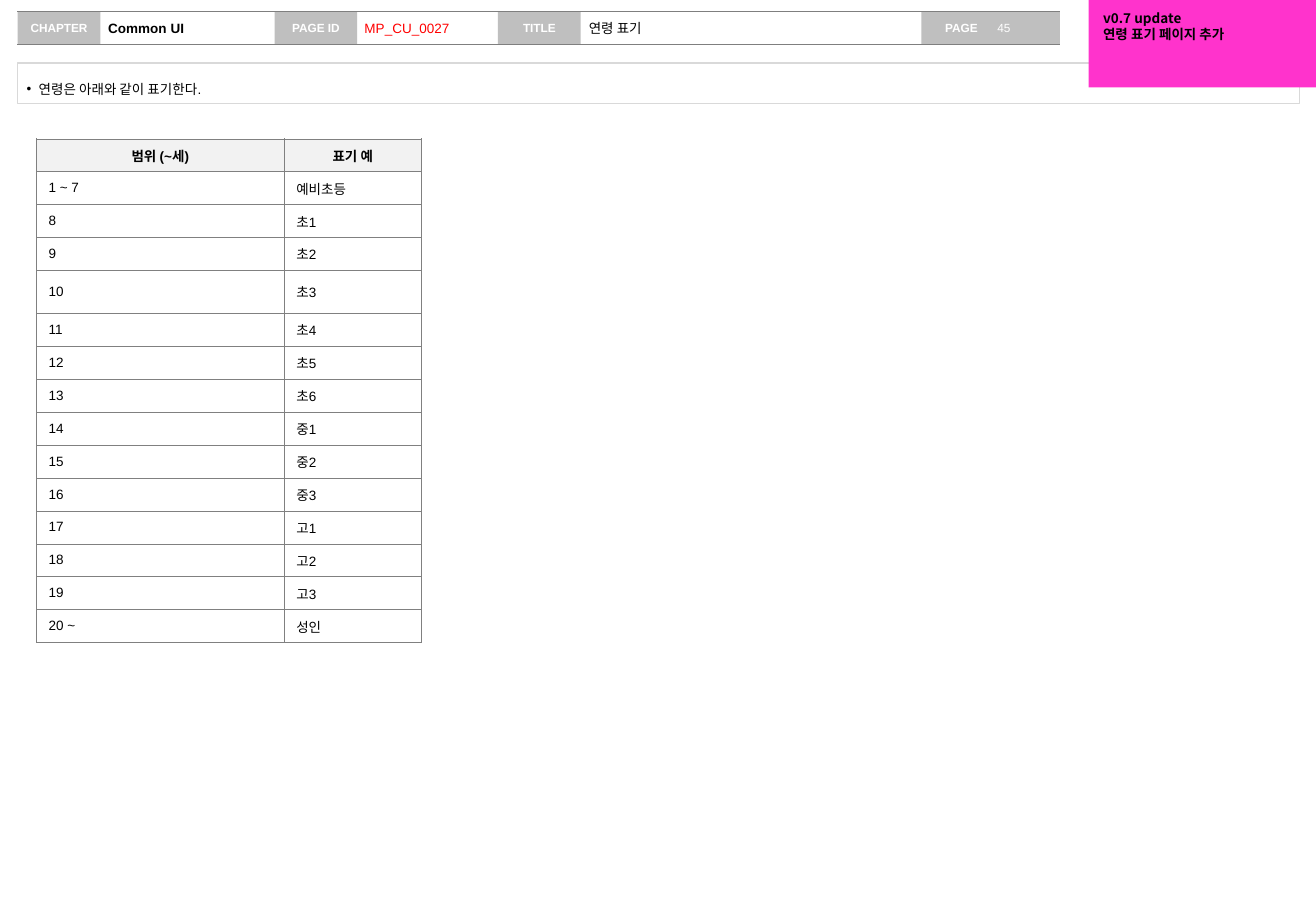
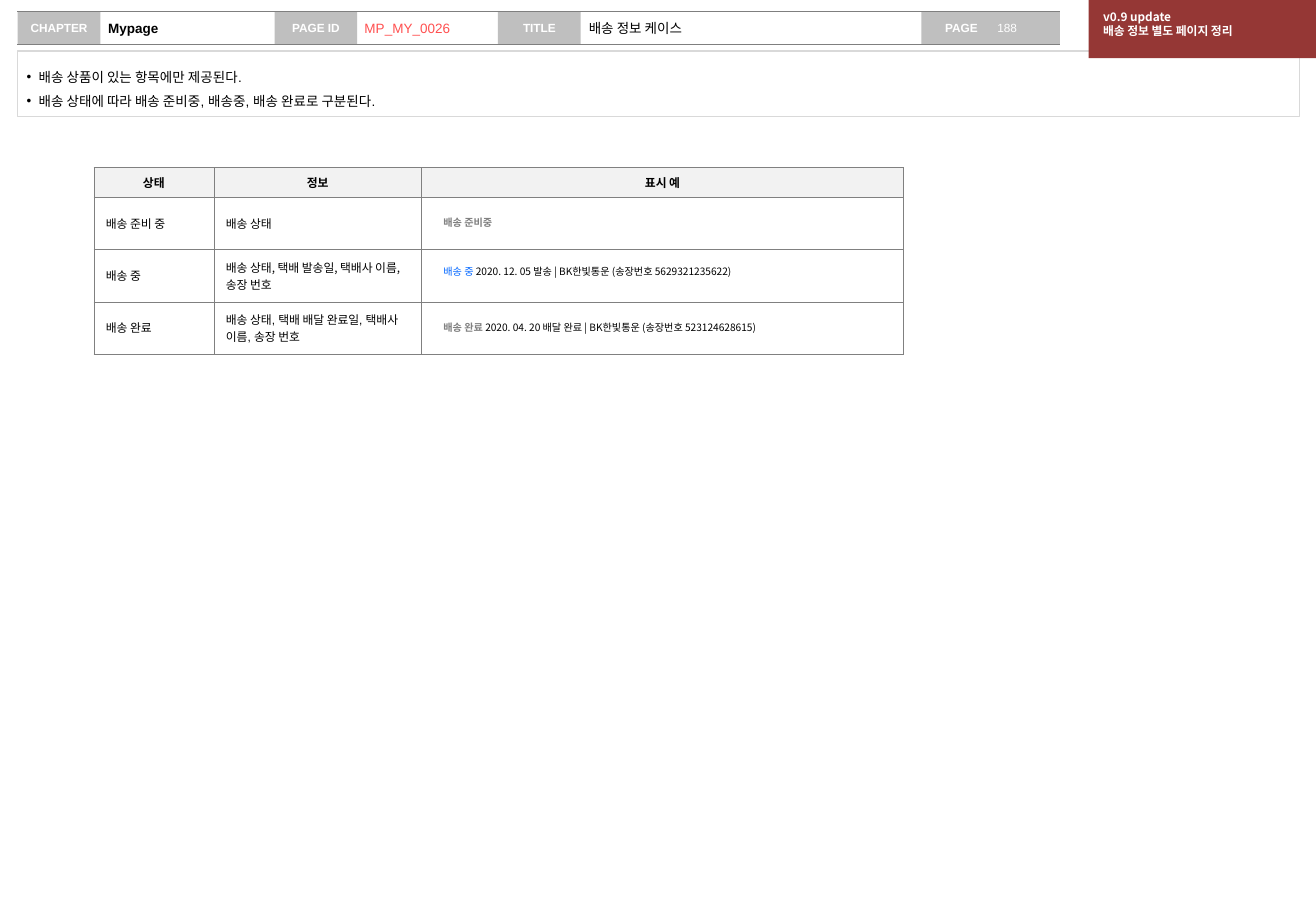
from lxml import etree
from pptx import Presentation
from pptx.dml.color import RGBColor
from pptx.enum.shapes import MSO_CONNECTOR, MSO_SHAPE
from pptx.enum.text import MSO_ANCHOR, PP_ALIGN
from pptx.oxml.ns import qn
from pptx.util import Cm, Pt

LEFT, CENTER = PP_ALIGN.LEFT, PP_ALIGN.CENTER
TOP, MIDDLE = MSO_ANCHOR.TOP, MSO_ANCHOR.MIDDLE
RECT, STRAIGHT = MSO_SHAPE.RECTANGLE, MSO_CONNECTOR.STRAIGHT

BLACK = RGBColor(0x00, 0x00, 0x00)
WHITE = RGBColor(0xFF, 0xFF, 0xFF)
TAG_GRAY = RGBColor(0xBF, 0xBF, 0xBF)
RULE_GRAY = RGBColor(0x7F, 0x7F, 0x7F)
BOX_GRAY = RGBColor(0xD9, 0xD9, 0xD9)
HEAD_GRAY = RGBColor(0xF2, 0xF2, 0xF2)
TEXT_GRAY = RGBColor(0x80, 0x80, 0x80)
RED = RGBColor(0xFF, 0x00, 0x00)
CORAL = RGBColor(0xFF, 0x50, 0x50)
PINK = RGBColor(0xFF, 0x33, 0xCC)
MAROON = RGBColor(0x95, 0x37, 0x35)
BLUE = RGBColor(0x00, 0x66, 0xFF)
BORDER = "808080"

ARIAL, NOTO = "Arial", "Noto Sans CJK KR"
BAND_TOP, BAND_H = 0.24, 0.69
FIELD_TOP, FIELD_H = 0.28, 0.61
TAGS = (("CHAPTER", 0.37), ("PAGE ID", 5.74), ("TITLE", 10.41))


def write(tf, *lines, size=8, font=ARIAL, color=BLACK, bold=False,
          align=LEFT, spacing=None, bullet=False):
    """Each line is a string or a list of (text, format overrides)."""
    for i, line in enumerate(lines):
        p = tf.paragraphs[0] if i == 0 else tf.add_paragraph()
        p.alignment = align
        p.line_spacing = spacing
        if bullet:
            add_bullet(p)
        for text, own in [(line, {})] if isinstance(line, str) else line:
            r = p.add_run()
            r.text = text
            r.font.size = Pt(own.get("size", size))
            r.font.bold = own.get("bold", bold)
            r.font.color.rgb = own.get("color", color)
            r.font.name = own.get("font", font)
            etree.SubElement(r._r.get_or_add_rPr(), qn("a:ea"), typeface=NOTO)


def add_bullet(p):
    pPr = p._p.get_or_add_pPr()
    pPr.set("marL", str(Cm(0.25)))
    pPr.set("indent", str(-Cm(0.25)))
    etree.SubElement(pPr, qn("a:buFont"), typeface=ARIAL)
    etree.SubElement(pPr, qn("a:buChar"), char="•")


def set_frame(tf, insets, anchor=TOP, wrap=True):
    """Insets are left, top, right, bottom in cm."""
    tf.margin_left, tf.margin_top, tf.margin_right, tf.margin_bottom = map(Cm, insets)
    tf.vertical_anchor = anchor
    tf.word_wrap = wrap
    return tf


def add_box(slide, x, y, w, h, fill=None, line=None):
    sp = slide.shapes.add_shape(RECT, Cm(x), Cm(y), Cm(w), Cm(h))
    sp.shadow.inherit = False
    if fill is None:
        sp.fill.background()
    else:
        sp.fill.solid()
        sp.fill.fore_color.rgb = fill
    if line is None:
        sp.line.fill.background()
    else:
        sp.line.color.rgb = line
        sp.line.width = Pt(0.75)
    return sp


def add_text(slide, x, y, w, h, *lines, insets=(0, 0, 0, 0), anchor=TOP, **fmt):
    sp = slide.shapes.add_textbox(Cm(x), Cm(y), Cm(w), Cm(h))
    write(set_frame(sp.text_frame, insets, anchor), *lines, **fmt)


def add_tag(slide, text, x, w=1.73, left=0.25, align=CENTER):
    sp = add_box(slide, x, BAND_TOP, w, BAND_H, fill=TAG_GRAY)
    tf = set_frame(sp.text_frame, (left, 0.13, 0.25, 0.13), MIDDLE, wrap=False)
    write(tf, text, size=7, color=WHITE, bold=True, align=align)


def add_rule(slide, y):
    ln = slide.shapes.add_connector(STRAIGHT, Cm(0.36), Cm(y), Cm(22.15), Cm(y))
    ln.line.color.rgb = RULE_GRAY
    ln.line.width = Pt(0.75)
    etree.SubElement(ln._element.spPr, qn("a:effectLst"))


def add_page(prs, chapter, page_id, title, number, id_color):
    """Add a slide with the header band that all pages share."""
    slide = prs.slides.add_slide(prs.slide_layouts[5])
    insets = (0.15, 0.13, 0, 0.13)
    add_tag(slide, "PAGE", 19.26, w=2.9, left=0.5, align=LEFT)
    add_text(slide, 20.75, FIELD_TOP, 1.4, FIELD_H, number,
             insets=(0.1, 0.13, 0, 0.13), anchor=MIDDLE, size=7, color=WHITE)
    for text, x in TAGS:
        add_tag(slide, text, x)
    for y in (BAND_TOP, BAND_TOP + BAND_H):
        add_rule(slide, y)

    ph = slide.shapes.title
    ph.left, ph.top, ph.width, ph.height = map(Cm, (2.11, FIELD_TOP, 3.63, FIELD_H))
    write(set_frame(ph.text_frame, insets, MIDDLE), chapter, bold=True)
    for text, x, w, color in ((title, 12.16, 7.1, BLACK),
                              (page_id, 7.47, 2.95, id_color)):
        add_text(slide, x, FIELD_TOP, w, FIELD_H, text,
                 insets=insets, anchor=MIDDLE, color=color)
    return slide


def add_description(slide, y, h, *lines):
    sp = add_box(slide, 0.36, y, 26.8, h, line=BOX_GRAY)
    write(set_frame(sp.text_frame, (0.2, 0.2, 0.2, 0.2)), *lines,
          spacing=1.5, bullet=True)


def add_update_note(slide, h, fill, *lines, **fmt):
    sp = add_box(slide, 22.76, 0, 4.77, h, fill=fill)
    write(set_frame(sp.text_frame, (0.3, 0.2, 0.25, 0.13)), *lines,
          font=NOTO, bold=True, **fmt)


def set_borders(cell):
    tcPr = cell._tc.get_or_add_tcPr()
    for i, side in enumerate(("lnL", "lnR", "lnT", "lnB")):
        ln = etree.Element(qn("a:" + side), w=str(Pt(0.25)))
        fill = etree.SubElement(ln, qn("a:solidFill"))
        etree.SubElement(fill, qn("a:srgbClr"), val=BORDER)
        tcPr.insert(i, ln)


def add_grid(slide, x, y, widths, heights, rows, size):
    """Add a bordered table whose first row is the heading."""
    frame = slide.shapes.add_table(len(rows), len(widths), Cm(x), Cm(y),
                                   Cm(sum(widths)), Cm(sum(heights)))
    table = frame.table
    table.first_row = table.horz_banding = False
    for column, w in zip(table.columns, widths):
        column.width = Cm(w)
    for i, (row, h) in enumerate(zip(rows, heights)):
        table.rows[i].height = Cm(h)
        head = i == 0
        for j, content in enumerate(row):
            cell = table.cell(i, j)
            cell.vertical_anchor = MIDDLE
            cell.fill.solid()
            cell.fill.fore_color.rgb = HEAD_GRAY if head else WHITE
            set_borders(cell)
            if content:
                write(cell.text_frame, content, size=size, bold=head,
                      align=CENTER if head else LEFT)
            else:
                p = cell.text_frame.paragraphs[0]
                p._p.get_or_add_endParaRPr().set("sz", str(size * 100))


def age_page(prs):
    slide = add_page(prs, "Common UI", "MP_CU_0027", "연령 표기", "45", RED)
    grades = [f"{school}{year}" for school, years in (("초", 6), ("중", 3), ("고", 3))
              for year in range(1, years + 1)]
    rows = [("범위 (~세)", "표기 예"), ("1 ~ 7", "예비초등")]
    rows += [(str(age), grade) for age, grade in enumerate(grades, 8)]
    rows.append(("20 ~", "성인"))
    heights = [0.89 if row[0] == "10" else 0.69 for row in rows]
    add_grid(slide, 0.76, 2.9, (5.18, 2.87), heights, rows, size=8)
    add_description(slide, 1.32, 0.84, "연령은 아래와 같이 표기한다.")
    add_update_note(slide, 1.83, PINK, "v0.7 update", "연령 표기 페이지 추가")


def delivery_page(prs):
    slide = add_page(prs, "Mypage", "MP_MY_0026", "배송 정보 케이스", "188", CORAL)
    add_description(slide, 1.07, 1.37, "배송 상품이 있는 항목에만 제공된다.",
                    "배송 상태에 따라 배송 준비중, 배송중, 배송 완료로 구분된다.")
    add_update_note(slide, 1.22, MAROON, "v0.9 update", "배송 정보 별도 페이지 정리",
                    size=7, color=WHITE)
    noto = {"font": NOTO}
    rows = [
        ("상태", "정보", "표시 예"),
        ("배송 준비 중", [("배송 상태", noto)], ""),
        ("배송 중", [("배송 상태, 택배 발송일, 택배사 이름, 송장 번호", noto)], ""),
        ("배송 완료", "배송 상태, 택배 배달 완료일, 택배사 이름, 송장 번호", ""),
    ]
    add_grid(slide, 1.96, 3.5, (2.51, 4.34, 10.08), (0.63, 1.09, 1.09, 1.09),
             rows, size=7)
    done = {"color": TEXT_GRAY, "bold": True}
    examples = (
        (4.53, [("배송 준비중", {"font": ARIAL, **done})]),
        (5.56, [("배송 중 ", {"color": BLUE}),
                ("2020. 12. 05 발송 | BK한빛통운 (송장번호 5629321235622)", {})]),
        (6.73, [("배송 완료 ", done),
                ("2020. 04. 20 배달 완료 | BK한빛통운 (송장번호 523124628615)", {})]),
    )
    for y, line in examples:
        add_text(slide, 9.27, y, 9.25, 0.3, line, size=6, font=NOTO)


def main():
    prs = Presentation()
    prs.slide_width, prs.slide_height = Cm(27.51), Cm(19.05)
    age_page(prs)
    delivery_page(prs)
    prs.save("out.pptx")


if __name__ == "__main__":
    main()
